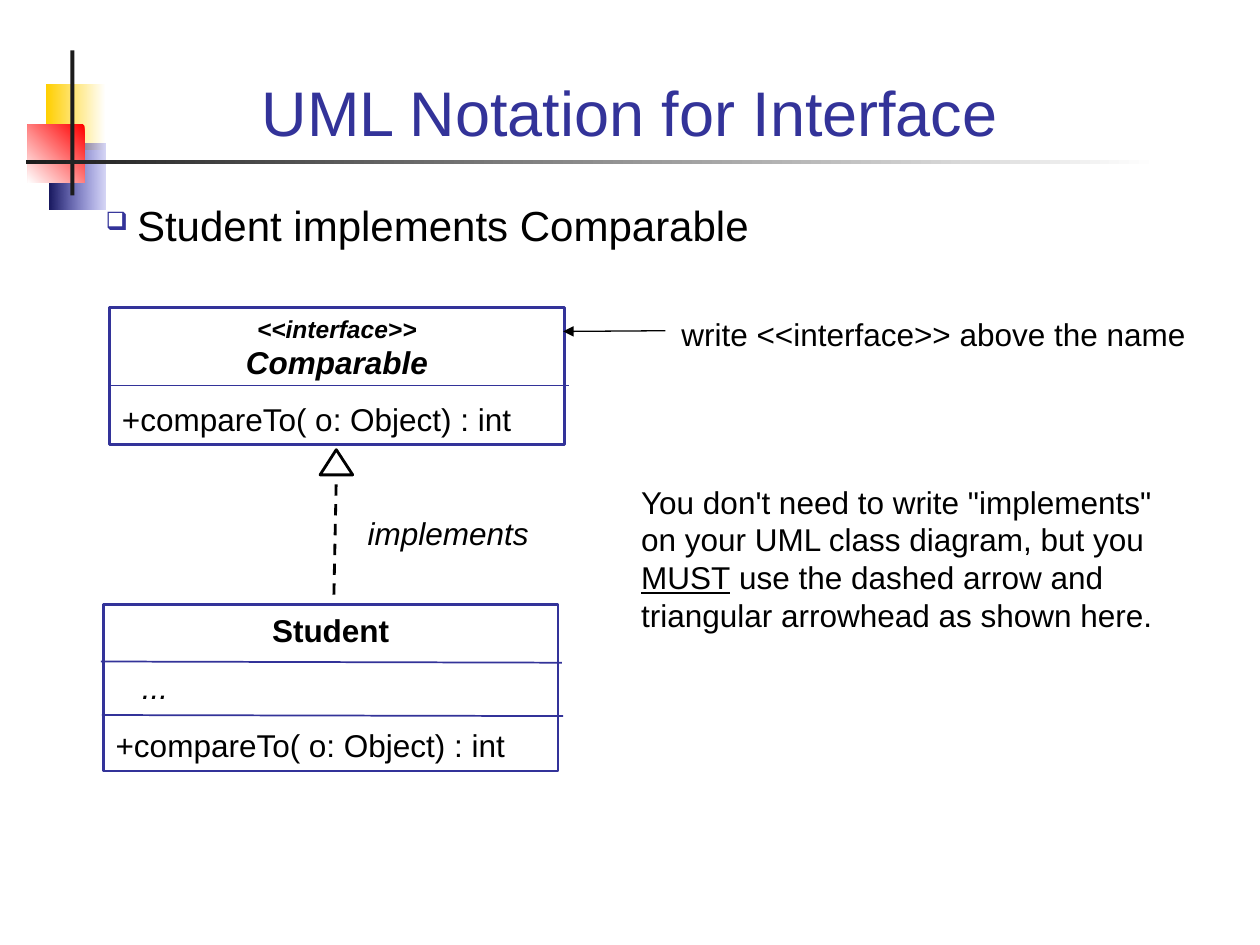
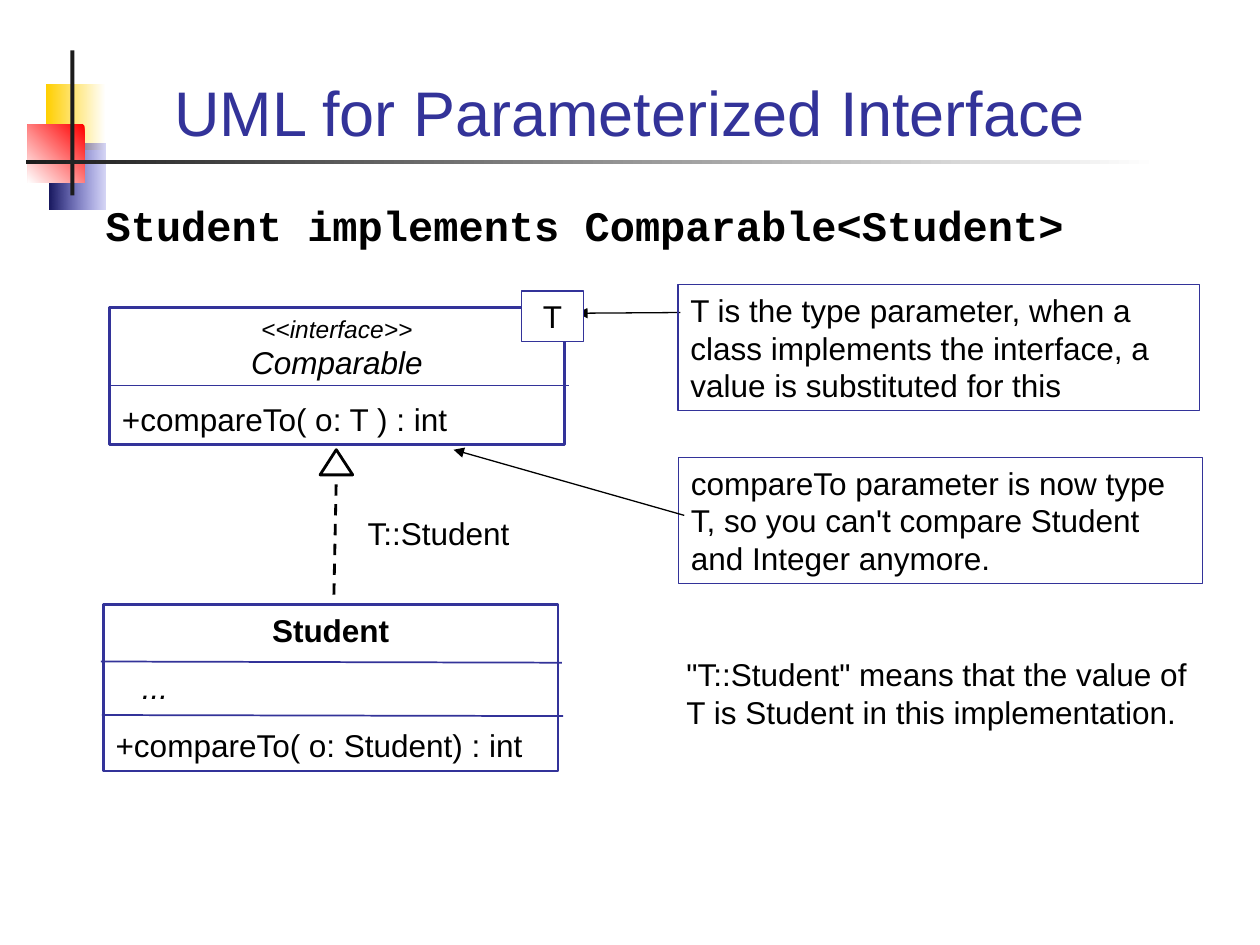
import lxml.etree
import pptx
import pptx.dml.color
import pptx.enum.dml
import pptx.enum.shapes
import pptx.enum.text
import pptx.oxml.ns
import pptx.util

Pt = pptx.util.Pt
RGBColor = pptx.dml.color.RGBColor
qn = pptx.oxml.ns.qn
ALIGN = pptx.enum.text.PP_ALIGN
ANCHOR = pptx.enum.text.MSO_ANCHOR
DASH = pptx.enum.dml.MSO_LINE.DASH

BLACK = RGBColor(0x00, 0x00, 0x00)
WHITE = RGBColor(0xFF, 0xFF, 0xFF)
INDIGO = RGBColor(0x33, 0x33, 0x99)
YELLOW = RGBColor(0xFF, 0xCF, 0x01)
BLUE = RGBColor(0x33, 0x33, 0xCC)
NAVY = RGBColor(0x17, 0x17, 0x5E)
RED = RGBColor(0xFF, 0x00, 0x00)
CHARCOAL = RGBColor(0x1C, 0x1C, 0x1C)


def add_run(p, text, size=18, font="Arial", color=BLACK, **style):
    r = p.add_run()
    r.text = text
    r.font.size = Pt(size)
    r.font.name = font
    r.font.color.rgb = color
    for name, value in style.items():
        setattr(r.font, name, value)
    return r


def sub(parent, tag, **attrs):
    return lxml.etree.SubElement(parent, qn(tag), attrs)


class Deck:
    """Holds the shared style and the slide being drawn."""

    def __init__(self):
        self.prs = pptx.Presentation()
        self.prs.slide_width, self.prs.slide_height = Pt(720), Pt(540)
        self.s = None

    def slide(self, title):
        self.s = self.prs.slides.add_slide(self.prs.slide_layouts[6])
        self.gradient((26.6, 48.2, 33.8, 37.4), WHITE, YELLOW)
        self.gradient((28.1, 82.1, 32.4, 37.4), BLUE, NAVY, start_alpha=20)
        self.gradient((15.8, 71.3, 32.4, 33.1), RED, WHITE, angle=225)
        self.rect((40.3, 28.8, 2.2, 82.8), fill=CHARCOAL)
        self.gradient((15.1, 91.4, 647.3, 2.2), WHITE, CHARCOAL)
        p = self.text((48.2, 20.2, 623.5, 68.4), anchor=ANCHOR.BOTTOM, align=ALIGN.CENTER)
        add_run(p, title, size=36, color=INDIGO)

    def rect(self, box, fill=None, line=None, width=0.75):
        sp = self.s.shapes.add_shape(
            pptx.enum.shapes.MSO_SHAPE.RECTANGLE, *map(Pt, box))
        sp.shadow.inherit = False
        if fill is None:
            sp.fill.background()
        else:
            sp.fill.solid()
            sp.fill.fore_color.rgb = fill
        if line is None:
            sp.line.fill.background()
        else:
            sp.line.color.rgb = line
            sp.line.width = Pt(width)
        return sp

    def gradient(self, box, start, end, angle=180, start_alpha=None):
        sp = self.rect(box)
        sp.fill.gradient()
        sp.fill.gradient_angle = angle
        for stop, color in zip(sp.fill.gradient_stops, (start, end)):
            stop.color.rgb = color
        if start_alpha is not None:
            clr = sp.element.spPr.find(".//" + qn("a:srgbClr"))
            sub(clr, "a:alpha", val=str(start_alpha * 1000))

    def frame(self, sp, anchor=ANCHOR.TOP, align=ALIGN.LEFT):
        tf = sp.text_frame
        tf.word_wrap = True
        tf.vertical_anchor = anchor
        tf.paragraphs[0].alignment = align
        return tf

    def text(self, box, **layout):
        sp = self.s.shapes.add_textbox(*map(Pt, box))
        return self.frame(sp, **layout).paragraphs[0]

    def label(self, box, text, **style):
        add_run(self.text(box), text, **style)

    def boxed(self, box, text, align=ALIGN.LEFT, fill=None):
        tf = self.frame(self.rect(box, fill=fill, line=INDIGO), align=align)
        add_run(tf.paragraphs[0], text)

    def bullet(self, p, char):
        pPr = p._p.get_or_add_pPr()
        pPr.set("marL", str(Pt(18)))
        pPr.set("indent", str(-Pt(18)))
        sub(sub(pPr, "a:buClr"), "a:srgbClr", val=str(INDIGO))
        sub(pPr, "a:buSzPct", val="60000")
        sub(pPr, "a:buChar", char=char)

    def heading(self, text, bullet=None, **style):
        p = self.text((53.3, 110.2, 623.5, 41.8))
        if bullet:
            self.bullet(p, bullet)
        add_run(p, text, size=24, **style)

    def line(self, start, end, color=BLACK, width=0.75, dash=None, arrow=False):
        c = self.s.shapes.add_connector(
            pptx.enum.shapes.MSO_CONNECTOR.STRAIGHT, *map(Pt, start + end))
        c.line.color.rgb = color
        c.line.width = Pt(width)
        if dash is not None:
            c.line.dash_style = dash
        if arrow:
            sub(c.line._get_or_add_ln(), "a:tailEnd", type="triangle")
        sub(c._element.spPr, "a:effectLst")

    def realization(self):
        self.line((190.8, 339.8), (192.2, 271.4), width=1.62, dash=DASH)
        fb = self.s.shapes.build_freeform(Pt(182.9), Pt(271.4))
        fb.add_line_segments([(Pt(201.6), Pt(271.4)), (Pt(192.2), Pt(257))])
        sp = fb.convert_to_shape()
        sp.shadow.inherit = False
        sp.fill.background()
        sp.line.color.rgb = BLACK
        sp.line.width = Pt(1.62)

    def class_box(self, box, rows, dividers):
        for start, end in dividers:
            self.line(start, end, color=INDIGO, width=1)
        tf = self.frame(self.rect(box, line=INDIGO, width=1.5))
        for i, (text, align, indent, before, style) in enumerate(rows):
            p = tf.add_paragraph() if i else tf.paragraphs[0]
            p.alignment = align
            p.space_before = Pt(before)
            if indent:
                p._p.get_or_add_pPr().set("marL", str(Pt(indent)))
            add_run(p, text, **style)

    def interface_box(self, method, bold):
        style = dict(bold=bold, italic=True)
        self.class_box(
            (62.6, 175.7, 259.9, 78.5),
            [("<<interface>>", ALIGN.CENTER, 0, 0, dict(style, size=14)),
             ("Comparable", ALIGN.CENTER, 0, 0, style),
             (method, ALIGN.LEFT, 0, 11.2, {})],
            [((62.6, 220.3), (325.4, 220.3))])

    def student_box(self, method):
        self.class_box(
            (59, 345.6, 259.9, 95),
            [("Student", ALIGN.CENTER, 0, 0, dict(bold=True)),
             ("...", ALIGN.LEFT, 15, 11.2, dict(italic=True)),
             (method, ALIGN.LEFT, 0, 11.2, {})],
            [((57.6, 378), (321.1, 378.7)), ((58.3, 408.6), (321.8, 409.2))])

    def diagram(self, interface_method, student_method, relation,
                bold_interface=False, italic_relation=False):
        self.realization()
        self.label((203, 290.2, 111.6, 28.8), relation, italic=italic_relation)
        self.interface_box(interface_method, bold_interface)
        self.student_box(student_method)


def main():
    d = Deck()

    d.slide("UML Notation for Interface")
    d.heading("Student implements Comparable", bullet="❑")
    d.diagram("+compareTo( o: Object) : int", "+compareTo( o: Object) : int",
              "implements", bold_interface=True, italic_relation=True)
    p = d.text((359.3, 272.2, 309.6, 93.6))
    add_run(p, "You don't need to write \"implements\" on your UML class diagram, but you ")
    add_run(p, "MUST", underline=True)
    add_run(p, " use the dashed arrow and triangular arrowhead as shown here.")
    d.line((380.2, 189), (321.8, 189.4), arrow=True)
    d.label((382.3, 176.4, 312.5, 28.8), "write <<interface>> above the name")

    d.slide("UML for Parameterized Interface")
    d.heading("Student implements Comparable<Student>", font="Courier New", bold=True)
    d.diagram("+compareTo( o: T ) : int", "+compareTo( o: Student) : int", "T::Student")
    d.label((385.2, 370.8, 309.6, 50.4),
            "\"T::Student\" means that the value of T is Student in this implementation.")
    d.line((388.8, 178.6), (329.8, 179), arrow=True)
    d.boxed((387.4, 162.7, 298.1, 72),
            "T is the type parameter, when a class implements the interface, "
            "a value is substituted for this")
    d.boxed((298.1, 166.3, 35.3, 28.8), "T", align=ALIGN.CENTER, fill=WHITE)
    d.boxed((387.7, 261.4, 299.5, 72),
            "compareTo parameter is now type T, so you can't compare Student "
            "and Integer anymore.")
    d.line((391, 294.5), (259.2, 257), arrow=True)

    d.prs.save("out.pptx")


if __name__ == "__main__":
    main()
